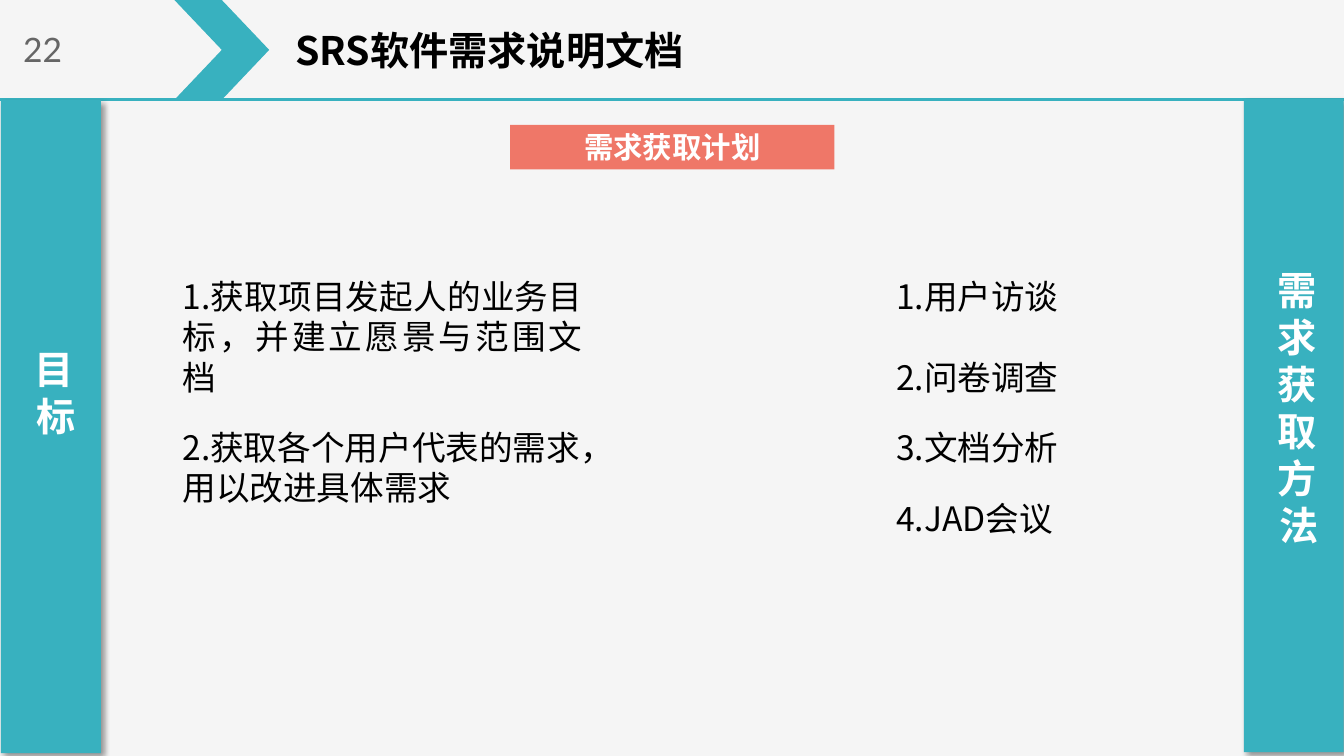
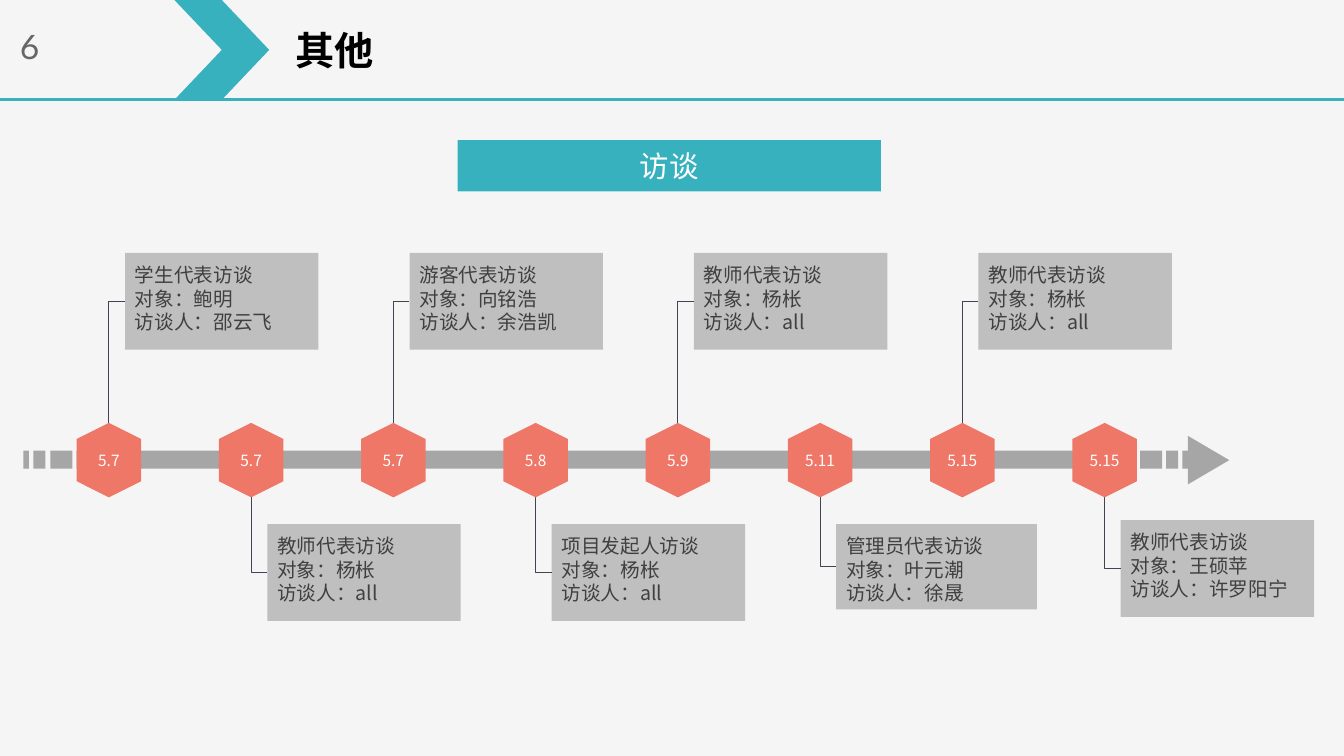
from lxml.etree import SubElement
from pptx import Presentation
from pptx.dml.color import RGBColor
from pptx.enum.shapes import MSO_CONNECTOR as CONNECTOR, MSO_SHAPE as SHAPE
from pptx.enum.text import MSO_ANCHOR as ANCHOR, MSO_AUTO_SIZE as AUTO_SIZE, PP_ALIGN as ALIGN
from pptx.oxml.ns import qn
from pptx.util import Pt

TEAL, CORAL, WHITE, BLACK = "38B1BF", "EF7768", "FFFFFF", "000000"
BACKGROUND, ARROW_GRAY, CARD_GRAY = "F5F5F5", "A6A6A6", "BFBFBF"
CARD_TEXT, NUMBER_GRAY, LINE_DARK = "404040", "666666", "414455"
FONT = "Noto Sans CJK SC"


def color(hex_string):
    return RGBColor.from_string(hex_string)


def write(shape, text, size, fill=BLACK, font=FONT, bold=False, align=ALIGN.LEFT,
          anchor=None, gap=0, tracking=0, margins=(7.2, 3.6), wrap=True):
    """Fill a shape with one paragraph per line; margins are side and top/bottom."""
    frame = shape.text_frame
    frame.text = text
    frame.word_wrap = wrap
    frame.auto_size = AUTO_SIZE.NONE
    frame.margin_left = frame.margin_right = Pt(margins[0])
    frame.margin_top = frame.margin_bottom = Pt(margins[1])
    if anchor is not None:
        frame.vertical_anchor = anchor
    for paragraph in frame.paragraphs:
        paragraph.alignment = align
        paragraph.line_spacing = Pt(size * 1.2)
        paragraph.space_before = Pt(0)
        paragraph.space_after = Pt(gap)
        properties = paragraph._p.get_or_add_pPr()
        properties.set("marL", "0")
        properties.set("indent", "0")
        SubElement(properties, qn("a:buNone"))
        for run in paragraph.runs:
            run.font.size = Pt(size)
            run.font.bold = bold
            run.font.color.rgb = color(fill)
            run.font.name = font
            run_properties = run._r.get_or_add_rPr()
            SubElement(run_properties, qn("a:ea")).set("typeface", font)
            if tracking:
                run_properties.set("spc", str(tracking * 100))


presentation = Presentation()
presentation.slide_width, presentation.slide_height = Pt(960), Pt(540)
master = presentation.slide_master
master.background.fill.solid()
master.background.fill.fore_color.rgb = color(BACKGROUND)
master_title = master.placeholders[0]
master_title.left, master_title.top = Pt(203.8), Pt(15.1)
master_title.width, master_title.height = Pt(321), Pt(41)

plan_slide = presentation.slides.add_slide(presentation.slide_layouts[3])
timeline_slide = presentation.slides.add_slide(presentation.slide_layouts[5])


def draw(slide, kind, left, top, width, height, fill):
    shape = slide.shapes.add_shape(kind, Pt(left), Pt(top), Pt(width), Pt(height))
    shape.shadow.inherit = False
    shape.fill.solid()
    shape.fill.fore_color.rgb = color(fill)
    shape.line.fill.background()
    return shape


# Header band, moved to the master so that both slides share it
header_line = plan_slide.shapes.add_connector(CONNECTOR.STRAIGHT, 0, Pt(71.3), Pt(960), Pt(71.3))
header_line.line.color.rgb = color(TEAL)
header_line.line.width = Pt(2.25)
SubElement(header_line._element.spPr, qn("a:effectLst"))
chevron = draw(plan_slide, SHAPE.CHEVRON, 124.6, 0, 67.7, 71.3, TEAL)
for position, shape in enumerate((header_line, chevron), start=2):
    master.shapes._spTree.insert(position, shape._element)

for slide, title, number, left, top in (
    (plan_slide, "SRS软件需求说明文档", "22", 9.4, 17.3),
    (timeline_slide, "其他", "6", 7.2, 15.1),
):
    write(slide.shapes.title, title, 28, bold=True, anchor=ANCHOR.MIDDLE)
    number_box = slide.shapes.add_textbox(Pt(left), Pt(top), Pt(100), Pt(36))
    write(number_box, number, 24, fill=NUMBER_GRAY, font="Lato")

# Plan slide
plan_label = draw(plan_slide, SHAPE.RECTANGLE, 364.3, 89.3, 231.8, 31.7, CORAL)
write(plan_label, "需求获取计划", 21, fill=WHITE, bold=True,
      align=ALIGN.CENTER, anchor=ANCHOR.MIDDLE)

for left, top, label, label_top, label_height in (
    (0.7, 71.3, "目标", 241.9, 77.8),
    (888.5, 70.6, "需求获取方法", 185, 213.1),
):
    sidebar = draw(plan_slide, SHAPE.RECTANGLE, left, top, 71.3, 466.6, TEAL)
    effects = sidebar._element.spPr.find(qn("a:effectLst"))
    shadow = SubElement(effects, qn("a:outerShdw"), blurRad=str(Pt(4)), dist=str(Pt(3)),
                        dir="2700000", algn="tl", rotWithShape="0")
    shadow_color = SubElement(shadow, qn("a:srgbClr"), val=BLACK)
    SubElement(shadow_color, qn("a:alpha"), val="40000")
    label_box = plan_slide.shapes.add_textbox(Pt(left + 7.7), Pt(label_top), Pt(55.4),
                                              Pt(label_height))
    write(label_box, label, 28, fill=WHITE, bold=True, align=ALIGN.RIGHT, tracking=2,
          margins=(9.4, 5))

goals, methods = plan_slide.placeholders[1], plan_slide.placeholders[2]
for body, left, width, height, text in (
    (goals, 123.1, 300.2, 174.2,
     "1.获取项目发起人的业务目标，并建立愿景与范围文档\n2.获取各个用户代表的需求，用以改进具体需求"),
    (methods, 632.9, 185.8, 196.6, "1.用户访谈\n2.问卷调查\n3.文档分析\n4.JAD会议"),
):
    body.left, body.top, body.width, body.height = Pt(left), Pt(193.4), Pt(width), Pt(height)
    write(body, text, 24, align=ALIGN.JUSTIFY, anchor=ANCHOR.TOP, gap=21.6)
goals.text_frame.paragraphs[1].alignment = ALIGN.LEFT
methods.text_frame.paragraphs[0].space_after = Pt(28.8)

# Timeline slide
interview_label = draw(timeline_slide, SHAPE.RECTANGLE, 326.9, 100.1, 302.4, 36.7, TEAL)
write(interview_label, "访谈", 21, fill=WHITE, align=ALIGN.CENTER, anchor=ANCHOR.MIDDLE)

for left, width in ((16.6, 4), (23.8, 8.6), (36, 15.8), (54.7, 756.7),
                    (814.3, 15.8), (833, 8.6), (844.6, 4.3)):
    draw(timeline_slide, SHAPE.RECTANGLE, left, 321.8, width, 13, ARROW_GRAY)
arrow_tip = draw(timeline_slide, SHAPE.ISOSCELES_TRIANGLE, 846, 313.9, 34.6, 29.5, ARROW_GRAY)
arrow_tip.rotation = 90

UPPER, LOWER = 180.7, 374.4
HEXAGON_TOP, HEXAGON_BOTTOM = 302.4, 355
CARD_WIDTH, CARD_HEIGHT = 138.2, 69.1
interviews = (
    ("5.7", "学生代表访谈", "鲍明", "邵云飞", UPPER, CARD_WIDTH, CARD_HEIGHT),
    ("5.7", "教师代表访谈", "杨枨", "all", LOWER, CARD_WIDTH, CARD_HEIGHT),
    ("5.7", "游客代表访谈", "向铭浩", "余浩凯", UPPER, CARD_WIDTH, CARD_HEIGHT),
    ("5.8", "项目发起人访谈", "杨枨", "all", LOWER, CARD_WIDTH, CARD_HEIGHT),
    ("5.9", "教师代表访谈", "杨枨", "all", UPPER, CARD_WIDTH, CARD_HEIGHT),
    ("5.11", "管理员代表访谈", "叶元潮", "徐晟", LOWER, 143.3, 61),
    ("5.15", "教师代表访谈", "杨枨", "all", UPPER, CARD_WIDTH, CARD_HEIGHT),
    ("5.15", "教师代表访谈", "王硕苹", "许罗阳宁", LOWER - 2.9, CARD_WIDTH, CARD_HEIGHT),
)
for index, (date, topic, subject, interviewer, top, width, height) in enumerate(interviews):
    center = 77.8 + 101.6 * index
    card = draw(timeline_slide, SHAPE.RECTANGLE, center + 11.5, top, width, height, CARD_GRAY)
    write(card, f"{topic}\n对象：{subject}\n访谈人：{interviewer}", 14, fill=CARD_TEXT,
          align=ALIGN.JUSTIFY, anchor=ANCHOR.TOP, margins=(7.2, 7.2))

    hexagon_end = HEXAGON_TOP if top == UPPER else HEXAGON_BOTTOM
    elbow = timeline_slide.shapes.add_connector(
        CONNECTOR.ELBOW, Pt(center + 11.5), Pt(top + height / 2), Pt(center), Pt(hexagon_end))
    elbow.begin_connect(card, 1)
    elbow.line.color.rgb = color(LINE_DARK)
    elbow.line.width = Pt(0.75)
    elbow._element.spPr.find(qn("a:prstGeom")).set("prst", "bentConnector2")
    SubElement(elbow._element.spPr, qn("a:effectLst"))

    hexagon = draw(timeline_slide, SHAPE.HEXAGON, center - 26.6, 305.6, 53.2, 46.1, CORAL)
    hexagon.rotation = 90
    date_box = timeline_slide.shapes.add_textbox(Pt(center - 28), Pt(318.2), Pt(56), Pt(21))
    write(date_box, date, 11, fill=WHITE, align=ALIGN.CENTER, anchor=ANCHOR.MIDDLE)

presentation.save("out.pptx")
